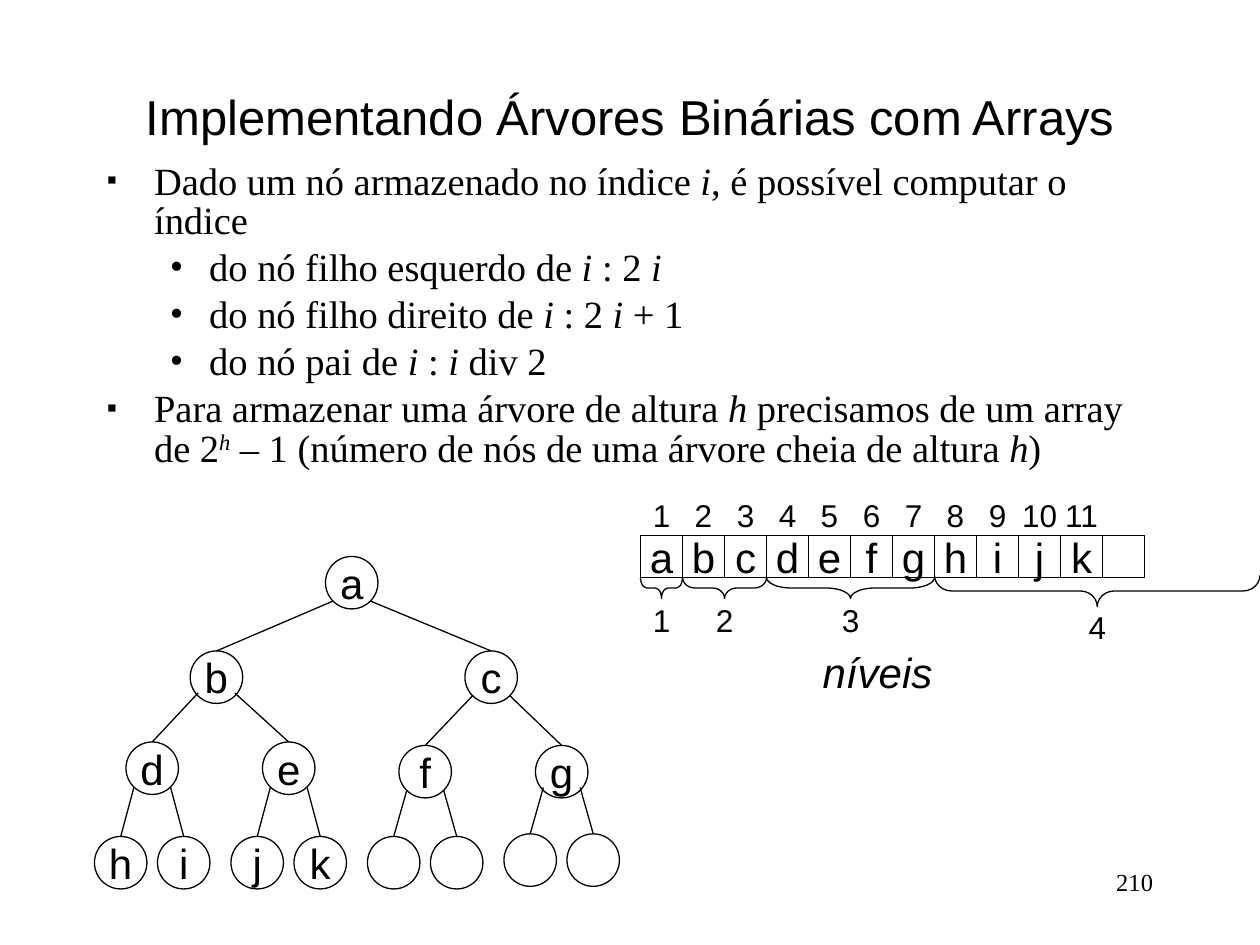
"""Build the slide on storing binary trees in arrays."""
from lxml.etree import SubElement
from pptx import Presentation
from pptx.dml.color import RGBColor
from pptx.enum.shapes import MSO_CONNECTOR as LINE, MSO_SHAPE as SHAPE
from pptx.enum.text import MSO_ANCHOR as ANCHOR, PP_ALIGN as ALIGN
from pptx.oxml.ns import qn
from pptx.util import Pt

BLACK = RGBColor(0, 0, 0)
SANS, SERIF = "Arial", "Times New Roman"

deck = Presentation()
deck.slide_width, deck.slide_height = Pt(720), Pt(540)
slide = deck.slides.add_slide(deck.slide_layouts[6])
shapes = slide.shapes


def write(box, text, size, face=SANS, align=ALIGN.CENTER, anchor=ANCHOR.MIDDLE, wrap=False):
    frame = box.text_frame
    frame.word_wrap = wrap
    frame.vertical_anchor = anchor
    if not wrap:
        frame.margin_left = frame.margin_right = 0
    para = frame.paragraphs[0]
    para.text = text
    para.alignment = align
    para.font.size = Pt(size)
    para.font.name = face
    para.font.color.rgb = BLACK
    return para


def draw(kind, left, top, width, height):
    shape = shapes.add_shape(kind, Pt(left), Pt(top), Pt(width), Pt(height))
    shape.shadow.inherit = False
    shape.fill.background()
    shape.line.color.rgb = BLACK
    shape.line.width = Pt(0.75)
    return shape


page = shapes.add_textbox(Pt(516), Pt(492), Pt(150), Pt(36))
write(page, "210", 14, SERIF, ALIGN.RIGHT, ANCHOR.TOP, True)
title = shapes.add_textbox(Pt(54), Pt(48), Pt(612), Pt(36))
write(title, "Implementando Árvores Binárias com Arrays", 28, wrap=True)

points = [
    (0, "Dado um nó armazenado no índice |i|, é possível computar o índice"),
    (1, "do nó filho esquerdo de |i |: 2 |i"),
    (1, "do nó filho direito de |i |: 2 |i| + 1"),
    (1, "do nó pai de |i |: |i |div 2"),
    (0, "Para armazenar uma árvore de altura |h| precisamos de um array de 2|^h|"
        " – 1 (número de nós de uma árvore cheia de altura |h|)"),
]
styles = [("▪", 27, -27, "75000"), ("•", 58.5, -22.5, "100000")]
body = shapes.add_textbox(Pt(54), Pt(90), Pt(612), Pt(390)).text_frame
body.word_wrap = True
for n, (level, text) in enumerate(points):
    para = body.add_paragraph() if n else body.paragraphs[0]
    mark, left, hang, scale = styles[level]
    para.level = level
    props = para._p.get_or_add_pPr()
    props.set("marL", str(Pt(left)))
    props.set("indent", str(Pt(hang)))
    SubElement(props, qn("a:buSzPct")).set("val", scale)
    SubElement(props, qn("a:buFont")).set("typeface", SERIF)
    SubElement(props, qn("a:buChar")).set("char", mark)
    para.line_spacing = 0.85
    if n:
        para.space_before = Pt(4.5)
    para.font.size = Pt(22)
    para.font.name = SERIF
    para.font.color.rgb = BLACK
    for k, part in enumerate(text.split("|")):
        run = para.add_run()
        run.text = part.lstrip("^")
        if k % 2:
            run.font.italic = True
        if part.startswith("^"):
            run.font._element.set("baseline", "30000")

names = "abcdefghijk"
spots = [(186, 318), (108.7, 372), (265.7, 372)]
spots += [(72 + 78 * n, top) for n, top in enumerate((424, 424, 426, 426))]
for (left, top), base in zip(spots[3:], (478, 478, 478, 476.5)):
    spots += [(left - 18, base), (left + 18, base)]
feet = [25.4, 24, 25.4, 26, 26, 25.4, 24]

for n, (left, top) in enumerate(spots):
    node = draw(SHAPE.OVAL, left, top, 30, 30)
    if n < len(names):
        write(node, names[n], 24)
    if n:
        up = (n - 1) // 2
        x, y = spots[up]
        edge = shapes.add_connector(
            LINE.STRAIGHT, Pt(x + (4.5 if n % 2 else 25.5)), Pt(y + feet[up]),
            Pt(left + 15), Pt(top))
        edge.end_connect(node, 0)
        edge.line.color.rgb = BLACK
        edge.line.width = Pt(0.75)
        SubElement(edge._element.spPr, qn("a:effectLst"))

START, CELL = 366, 24
for n in range(12):
    left = START + CELL * n
    cell = draw(SHAPE.RECTANGLE, left, 306, CELL, CELL)
    if n < len(names):
        write(cell, names[n], 24)
        index = shapes.add_textbox(Pt(left), Pt(282), Pt(CELL), Pt(CELL))
        write(index, str(n + 1), 18)

braces = [
    (0, 24, 12, 0.3, 336, 342),
    (1, 48, 12, 0.59, 336, 342),
    (3, 96, 12, 1.18, 336, 342),
    (7, 186, 18, 0.54, 337.7, 346.3),
]
for n, (first, span, depth, curve, center, top) in enumerate(braces):
    mid = START + CELL * first + span / 2
    brace = draw(SHAPE.RIGHT_BRACE, mid - depth / 2, center - span / 2, depth, span)
    brace.rotation = 90
    brace.adjustments[0] = curve
    level = shapes.add_textbox(Pt(mid - CELL / 2), Pt(top), Pt(CELL), Pt(CELL))
    write(level, str(n + 1), 18)

caption = shapes.add_textbox(Pt(463), Pt(366), Pt(77), Pt(36))
write(caption, "níveis", 24, anchor=ANCHOR.TOP).font.italic = True

deck.save("out.pptx")
